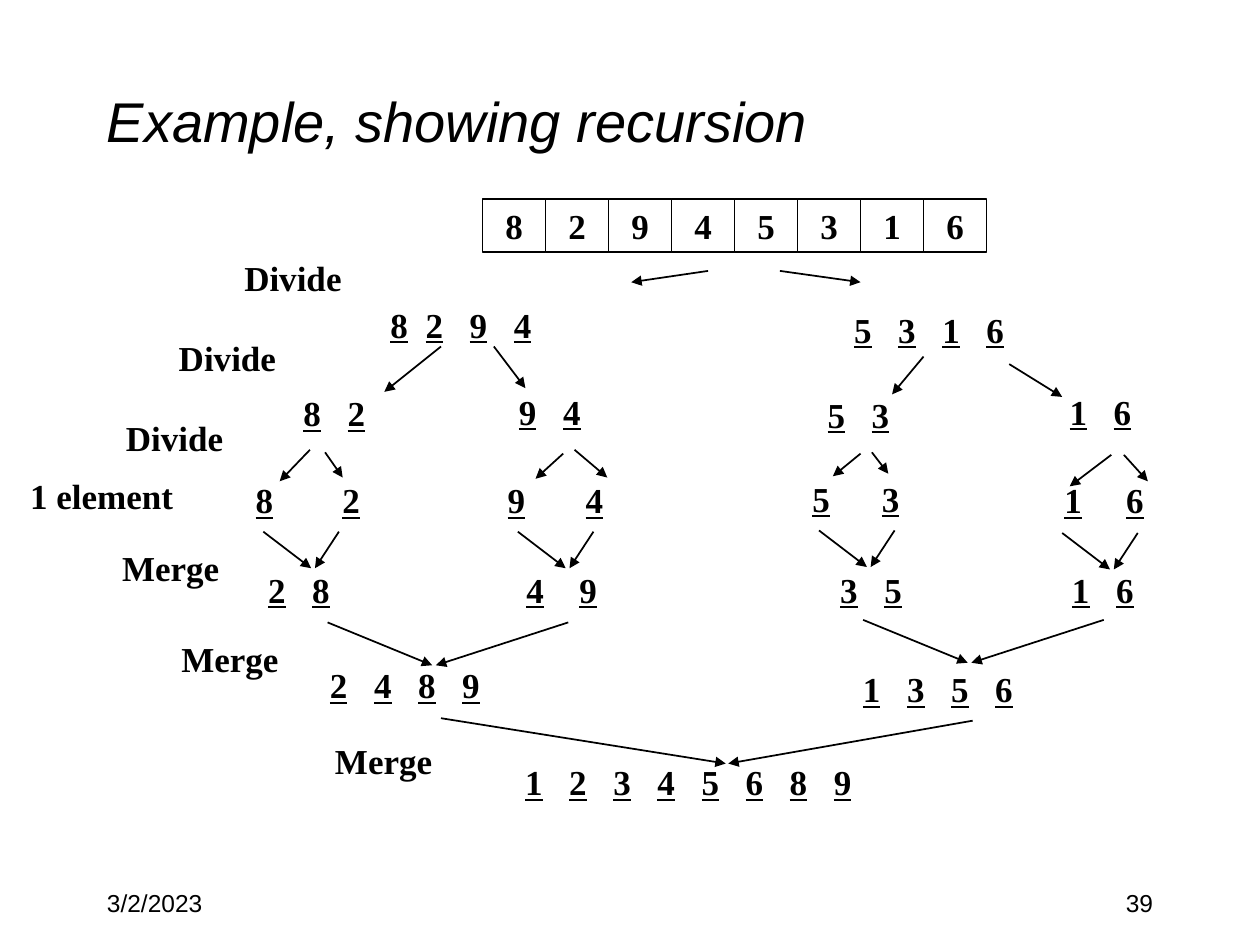
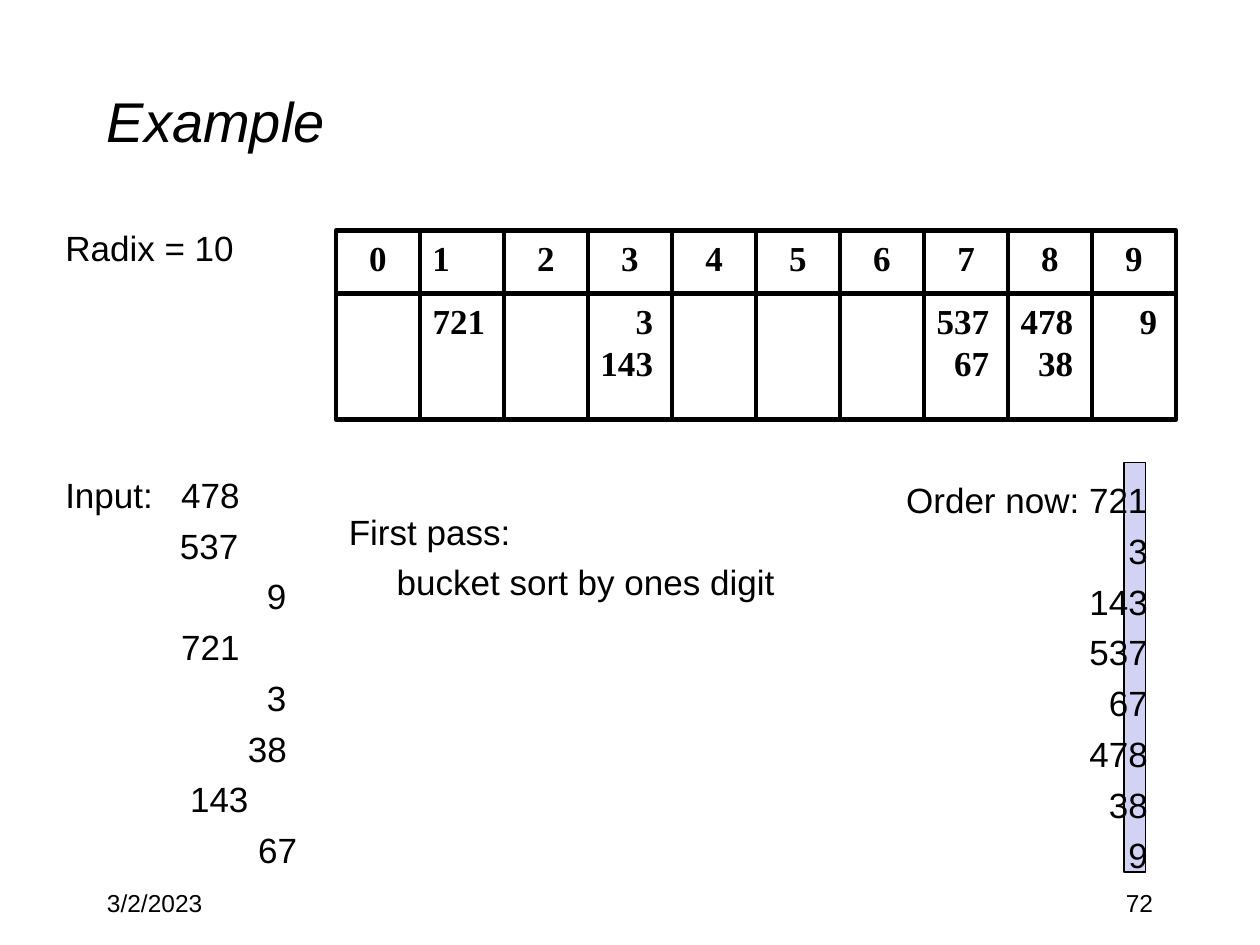
"""Build two slides: merge sort recursion and the first pass of a radix sort."""
from dataclasses import dataclass
from itertools import accumulate

from lxml import etree
from pptx import Presentation
from pptx.dml.color import RGBColor
from pptx.enum.shapes import MSO_CONNECTOR, MSO_SHAPE
from pptx.enum.text import MSO_ANCHOR, PP_ALIGN
from pptx.oxml.ns import qn
from pptx.util import Inches, Pt

LEFT, CENTER, RIGHT = PP_ALIGN.LEFT, PP_ALIGN.CENTER, PP_ALIGN.RIGHT
TOP, MIDDLE = MSO_ANCHOR.TOP, MSO_ANCHOR.MIDDLE
RECTANGLE, STRAIGHT = MSO_SHAPE.RECTANGLE, MSO_CONNECTOR.STRAIGHT


@dataclass(frozen=True)
class TextStyle:
    font: str
    size: int
    bold: bool = False
    italic: bool = False


@dataclass(frozen=True)
class Theme:
    ink: RGBColor = RGBColor(0x00, 0x00, 0x00)
    highlight: RGBColor = RGBColor(0xD2, 0xD2, 0xF4)
    title: TextStyle = TextStyle("Arial", 32, italic=True)
    body: TextStyle = TextStyle("Arial", 20)
    footer: TextStyle = TextStyle("Arial", 14)
    diagram: TextStyle = TextStyle("Times New Roman", 20, bold=True)
    thin: float = 0.75
    arrow: float = 1
    thick: float = 2.75
    line_gap: float = 5


@dataclass(frozen=True)
class Box:
    left: float
    top: float
    width: float
    height: float = 0.44


@dataclass(frozen=True)
class Line:
    text: str
    stops: tuple[float, ...] = ()
    before: float = 0


@dataclass(frozen=True)
class Sequence:
    """Underlined digits; gaps are distances between their left edges."""
    box: Box
    digits: str
    lead: float = 0
    gaps: tuple[float, ...] = ()
    joined: bool = True


@dataclass(frozen=True)
class Arrow:
    x1: float
    y1: float
    x2: float
    y2: float


THEME = Theme()
DIGIT_PITCH = 0.35

STEP_LABELS = (
    ("Divide", Box(1.84, 1.99, 0.98)),
    ("Divide", Box(1.32, 2.62, 0.98)),
    ("Divide", Box(0.9, 3.26, 0.98)),
    ("1 element", Box(0.14, 3.72, 1.34)),
    ("Merge", Box(0.87, 4.29, 0.98)),
    ("Merge", Box(1.34, 5.01, 0.98)),
    ("Merge", Box(2.56, 5.82, 0.98)),
)
SEQUENCES = (
    Sequence(Box(3, 2.36, 1.4), "8294", gaps=(0.28, 0.35, 0.35)),
    Sequence(Box(6.68, 2.4, 1.45), "5316"),
    Sequence(Box(2.31, 3.06, 0.75), "82"),
    Sequence(Box(4.02, 3.05, 0.75), "94"),
    Sequence(Box(6.47, 3.07, 0.75), "53"),
    Sequence(Box(8.39, 3.05, 0.75), "16"),
    Sequence(Box(1.93, 3.75, 1.14), "82", gaps=(0.69,), joined=False),
    Sequence(Box(3.93, 3.75, 1.14), "94", gaps=(0.62,), joined=False),
    Sequence(Box(6.35, 3.74, 1.14), "53", gaps=(0.55,), joined=False),
    Sequence(Box(8.35, 3.75, 1.14), "16", gaps=(0.49,), joined=False),
    Sequence(Box(1.82, 4.46, 1.34), "28", lead=0.21),
    Sequence(Box(4.08, 4.46, 1.34), "49", gaps=(0.42,)),
    Sequence(Box(6.57, 4.46, 1.34), "35"),
    Sequence(Box(8.41, 4.46, 1.34), "16"),
    Sequence(Box(1.97, 5.22, 2.61), "2489", lead=0.55),
    Sequence(Box(6.33, 5.25, 2.61), "1356", lead=0.42),
    Sequence(Box(3.51, 5.99, 3.4), "12345689", lead=0.56),
)
DIVIDE_ARROWS = (
    Arrow(5.62, 2.15, 5.01, 2.24), Arrow(6.19, 2.15, 6.83, 2.24),
    Arrow(3.5, 2.75, 3.05, 3.11), Arrow(3.92, 2.75, 4.17, 3.08),
    Arrow(7.33, 2.83, 7.08, 3.13), Arrow(8.01, 2.89, 8.43, 3.15),
    Arrow(2.46, 3.57, 2.22, 3.82), Arrow(2.58, 3.59, 2.72, 3.79),
    Arrow(4.47, 3.6, 4.25, 3.8), Arrow(4.56, 3.57, 4.82, 3.79),
    Arrow(6.83, 3.6, 6.61, 3.78), Arrow(6.92, 3.59, 7.05, 3.76),
    Arrow(8.82, 3.61, 8.49, 3.86), Arrow(8.92, 3.61, 9.11, 3.82),
)
SINGLE_MERGES = ((2.09, 4.22), (4.11, 4.22), (6.5, 4.21), (8.43, 4.23))
PAIR_MERGES = ((2.6, 4.94), (6.85, 4.92))
FINAL_MERGE = (Arrow(3.5, 5.7, 5.76, 6.06), Arrow(7.72, 5.72, 5.78, 6.06))

BUCKETS = {1: ("721",), 3: ("3", "143"), 7: ("537", "67"),
           8: ("478", "38"), 9: ("9",)}
INPUT_NUMBERS = (("537", 0.91), ("9", 1.6), ("721", 0.92), ("3", 1.6),
                 ("38", 1.45), ("143", 0.99), ("67", 1.53))
ORDER_NOW = ("Order now: 721", "3", "143", "537", "67", "478", "38", "9")


def set_tab_stops(paragraph, stops: tuple[float, ...]) -> None:
    """Give a paragraph left tab stops, in inches."""
    if stops:
        tab_list = etree.SubElement(paragraph._p.get_or_add_pPr(), qn("a:tabLst"))
        for stop in stops:
            etree.SubElement(tab_list, qn("a:tab"), pos=str(Inches(stop)), algn="l")


def style_paragraph(paragraph, style: TextStyle, align=LEFT) -> None:
    """Apply a text style and alignment to a paragraph."""
    paragraph.alignment = align
    font = paragraph.font
    font.name, font.size = style.font, Pt(style.size)
    font.bold, font.italic = style.bold, style.italic
    font.color.rgb = THEME.ink


def write_lines(frame, lines, style: TextStyle, align=LEFT, anchor=TOP) -> None:
    """Fill a text frame with one paragraph per line."""
    frame.word_wrap = True
    frame.vertical_anchor = anchor
    for index, line in enumerate(lines):
        paragraph = frame.add_paragraph() if index else frame.paragraphs[0]
        paragraph.text = line.text
        set_tab_stops(paragraph, line.stops)
        style_paragraph(paragraph, style, align)
        paragraph.space_before = Pt(line.before)


def add_frame(slide, box: Box):
    """Add a text box and return its text frame."""
    return slide.shapes.add_textbox(Inches(box.left), Inches(box.top),
                                    Inches(box.width), Inches(box.height)).text_frame


def add_text(slide, box: Box, lines, style: TextStyle, align=LEFT, anchor=TOP):
    """Add a text box holding lines and return its text frame."""
    frame = add_frame(slide, box)
    write_lines(frame, lines, style, align, anchor)
    return frame


def add_cell(slide, left: int, top: int, width: int, height: int,
             outline: float, fill: RGBColor | None = None):
    """Add an outlined rectangle, filled only when a colour is given."""
    cell = slide.shapes.add_shape(RECTANGLE, left, top, width, height)
    cell.shadow.inherit = False
    if fill is None:
        cell.fill.background()
    else:
        cell.fill.solid()
        cell.fill.fore_color.rgb = fill
    cell.line.color.rgb = THEME.ink
    cell.line.width = Pt(outline)
    return cell


def add_arrow(slide, arrow: Arrow) -> None:
    """Draw a straight arrow with a triangular head."""
    connector = slide.shapes.add_connector(
        STRAIGHT, Inches(arrow.x1), Inches(arrow.y1), Inches(arrow.x2), Inches(arrow.y2))
    connector.line.color.rgb = THEME.ink
    connector.line.width = Pt(THEME.arrow)
    etree.SubElement(connector.line._get_or_add_ln(), qn("a:tailEnd"), type="triangle")
    etree.SubElement(connector._element.spPr, qn("a:effectLst"))


def add_merge(slide, x: float, y: float, meet: float, span: float, drop: float) -> None:
    """Draw two arrows converging on nearly the same point."""
    add_arrow(slide, Arrow(x, y, x + meet, y + drop))
    add_arrow(slide, Arrow(x + span, y, x + meet + 0.03, y + drop))


def add_sequence(slide, sequence: Sequence) -> None:
    """Write digits spaced by tab stops, underlining the gaps if joined."""
    frame = add_frame(slide, sequence.box)
    frame.word_wrap = True
    paragraph = frame.paragraphs[0]
    gaps = sequence.gaps or (DIGIT_PITCH,) * (len(sequence.digits) - 1)
    stops = tuple(accumulate(gaps, initial=sequence.lead))
    set_tab_stops(paragraph, stops if sequence.lead else stops[1:])
    style_paragraph(paragraph, THEME.diagram)
    if sequence.joined:
        parts = [("\t".join(sequence.digits), True)]
    else:
        first, second = sequence.digits
        parts = [(first, True), ("\t", False), (second, True)]
    if sequence.lead:
        parts.insert(0, ("\t", False))
    for text, underlined in parts:
        run = paragraph.add_run()
        run.text = text
        run.font.underline = underlined


def add_base_slide(deck, title: str, number: str):
    """Add a blank slide with the shared title, date and number."""
    slide = deck.slides.add_slide(deck.slide_layouts[6])
    add_text(slide, Box(0.75, 0.33, 8.5, 1.25), [Line(title)], THEME.title, anchor=MIDDLE)
    add_text(slide, Box(0.75, 7, 2.08, 0.5), [Line("3/2/2023")], THEME.footer)
    add_text(slide, Box(7.17, 7, 2.08, 0.5), [Line(number)], THEME.footer, RIGHT)
    return slide


def build_merge_sort(deck) -> None:
    """Show the dividing and merging of eight numbers."""
    slide = add_base_slide(deck, "Example, showing recursion", "39")
    for index, digit in enumerate("82945316"):
        cell = add_cell(slide, Inches(3.83 + 0.5 * index), Inches(1.58),
                        Inches(0.5), Inches(0.42), THEME.thin)
        write_lines(cell.text_frame, [Line(digit)], THEME.diagram, CENTER, MIDDLE)
    for label, box in STEP_LABELS:
        add_text(slide, box, [Line(label)], THEME.diagram).word_wrap = False
    for sequence in SEQUENCES:
        add_sequence(slide, sequence)
    for arrow in DIVIDE_ARROWS + FINAL_MERGE:
        add_arrow(slide, arrow)
    for x, y in SINGLE_MERGES:
        add_merge(slide, x, y, 0.38, 0.6, 0.29)
    for x, y in PAIR_MERGES:
        add_merge(slide, x, y, 0.83, 1.91, 0.34)


def build_radix_sort(deck) -> None:
    """Show the buckets and resulting order of the ones-digit pass."""
    slide = add_base_slide(deck, "Example", "72")
    add_cell(slide, Inches(8.92), Inches(3.67), Inches(0.17), Inches(3.25),
             THEME.thin, THEME.highlight)
    gap = THEME.line_gap
    input_lines = [Line("Radix = 10", before=gap),
                   Line("Input:\t478", (0.92,), before=117)]
    input_lines += [Line(f"\t{number}", (stop,), gap) for number, stop in INPUT_NUMBERS]
    add_text(slide, Box(0.42, 1.75, 2.17, 5.17), input_lines, THEME.body)
    add_text(slide, Box(2.67, 4, 4.58, 1),
             [Line("First pass:", before=gap),
              Line("\tbucket sort by ones digit", (0.38,), gap)], THEME.body)
    bucket_width = Inches(2) // 3
    for digit in range(10):
        left = Inches(8) // 3 + digit * bucket_width
        header = add_cell(slide, left, Inches(1.83), bucket_width, Inches(0.5), THEME.thick)
        write_lines(header.text_frame, [Line(str(digit))], THEME.diagram,
                    LEFT if digit == 1 else CENTER)
        bucket = add_cell(slide, left, Inches(2.33), bucket_width, Inches(1), THEME.thick)
        if digit in BUCKETS:
            frame = bucket.text_frame
            frame.margin_left, frame.margin_right = Inches(0.05), Inches(0.15)
            write_lines(frame, map(Line, BUCKETS[digit]), THEME.diagram, RIGHT)
    order = add_text(slide, Box(7.08, 3.75, 2.42, 3.25),
                     [Line(text, before=gap) for text in ORDER_NOW], THEME.body, RIGHT)
    order.margin_left, order.margin_right = Inches(0.05), Inches(0.39)


def main() -> None:
    """Build and save the deck."""
    deck = Presentation()
    deck.slide_width, deck.slide_height = Inches(10), Inches(7.5)
    build_merge_sort(deck)
    build_radix_sort(deck)
    deck.save("out.pptx")


if __name__ == "__main__":
    main()
